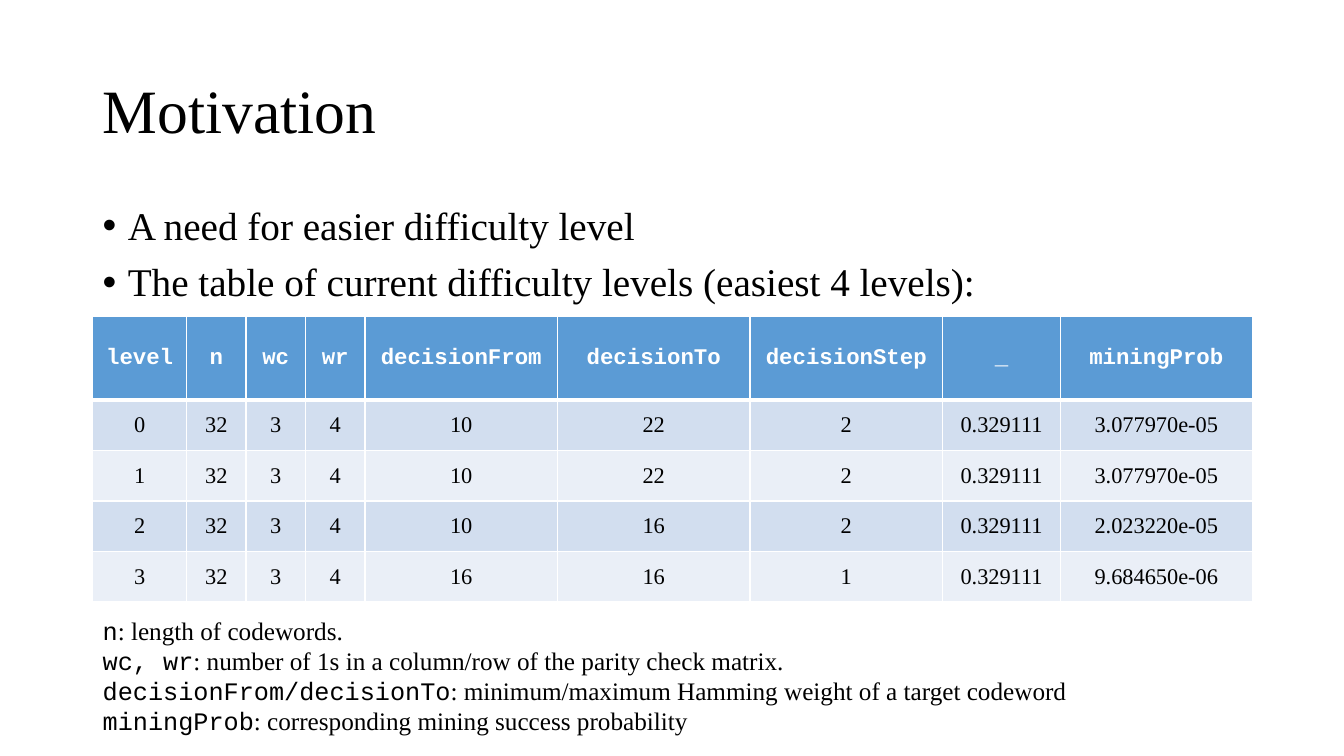
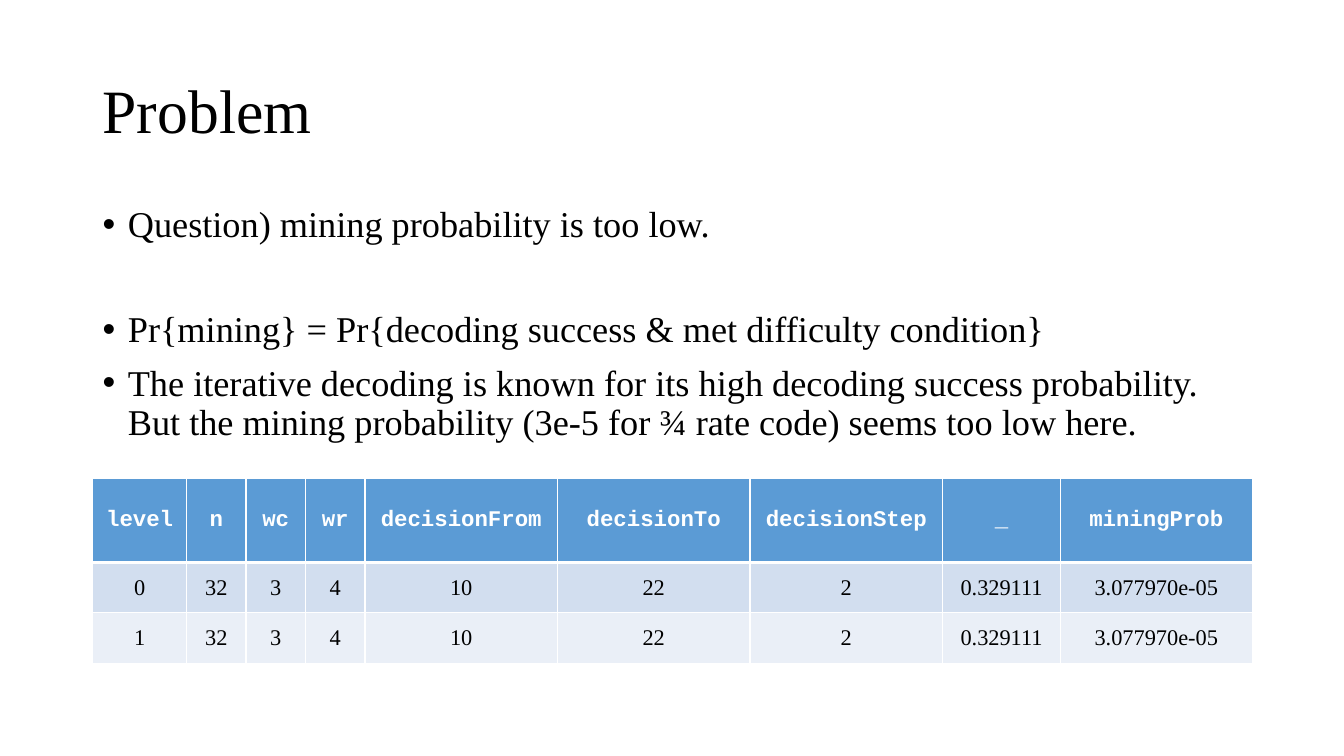
"""Build two slides about mining difficulty levels."""
from dataclasses import dataclass

from lxml import etree
from pptx import Presentation
from pptx.dml.color import RGBColor
from pptx.enum.text import MSO_ANCHOR, PP_ALIGN
from pptx.oxml.ns import qn
from pptx.util import Pt

MIDDLE, TOP = MSO_ANCHOR.MIDDLE, MSO_ANCHOR.TOP
CENTER = PP_ALIGN.CENTER
EMU_PER_PX = 9144


@dataclass(frozen=True)
class Theme:
    serif: str = "Times New Roman"
    mono: str = "Courier New"
    bullet_font: str = "Arial"
    ink: str = "000000"
    white: str = "FFFFFF"
    header: str = "5B9BD5"
    bands: tuple = ("D2DEEF", "EAEFF7")
    title_size: float = 44
    note_size: float = 18
    cell_size: float = 16
    thin: float = 1
    thick: float = 3
    line_spacing: float = 0.9
    space_before: float = 10


THEME = Theme()

SLIDE_SIZE = (1333, 750)
LEFT, WIDTH = 92, 1150
TITLE_TOP, TITLE_HEIGHT = 40, 145
BODY_TOP = 200
NOTES_TOP, NOTES_HEIGHT = 605, 131
BULLET_INDENT = 25
COLUMN_WIDTHS = (93, 59, 59, 59, 191, 191, 191, 117, 190)
HEADER_HEIGHT, ROW_HEIGHT = 83, 50

HEADERS = ("level", "n", "wc", "wr", "decisionFrom", "decisionTo",
           "decisionStep", "_", "miningProb")
LEVELS = [
    ("0", "32", "3", "4", "10", "22", "2", "0.329111", "3.077970e-05"),
    ("1", "32", "3", "4", "10", "22", "2", "0.329111", "3.077970e-05"),
    ("2", "32", "3", "4", "10", "16", "2", "0.329111", "2.023220e-05"),
    ("3", "32", "3", "4", "16", "16", "1", "0.329111", "9.684650e-06"),
]
NOTES = [
    ("n", ": length of codewords."),
    ("wc, wr", ": number of 1s in a column/row of the parity check matrix."),
    ("decisionFrom/decisionTo",
     ": minimum/maximum Hamming weight of a target codeword"),
    ("miningProb", ": corresponding mining success probability"),
]
SLIDES = [
    {
        "title": "Motivation",
        "bullets": [
            ("A need for easier difficulty level", 0),
            ("The table of current difficulty levels (easiest 4 levels):", 0),
        ],
        "bullet_size": 28,
        "body_height": 115,
        "table_top": 314,
        "levels": LEVELS,
        "notes": NOTES,
    },
    {
        "title": "Problem",
        "bullets": [
            ("Question) mining probability is too low.", 0),
            ("Pr{mining} = Pr{decoding success & met difficulty condition}", 37),
            ("The iterative decoding is known for its high decoding success "
             "probability. But the mining probability (3e-5 for ¾ rate code) "
             "seems too low here.", 0),
        ],
        "bullet_size": 25.9,
        "body_height": 253,
        "table_top": 475,
        "levels": LEVELS[:2],
        "notes": [],
    },
]


def px(length):
    return length * EMU_PER_PX


def set_font(font, size, name=None, color=THEME.ink, bold=False):
    font.size = Pt(size)
    font.bold = bold
    font.color.rgb = RGBColor.from_string(color)
    if name:
        font.name = name


def add_text_frame(slide, top, height, anchor=TOP):
    box = slide.shapes.add_textbox(px(LEFT), px(top), px(WIDTH), px(height))
    frame = box.text_frame
    frame.word_wrap = True
    frame.vertical_anchor = anchor
    return frame


def add_paragraphs(frame, count):
    for _ in range(count - 1):
        frame.add_paragraph()
    return frame.paragraphs


def add_title(slide, text):
    frame = add_text_frame(slide, TITLE_TOP, TITLE_HEIGHT, MIDDLE)
    paragraph = frame.paragraphs[0]
    paragraph.text = text
    paragraph.line_spacing = THEME.line_spacing
    set_font(paragraph.font, THEME.title_size, THEME.serif)


def set_bullet(paragraph):
    properties = paragraph._p.get_or_add_pPr()
    properties.set("marL", str(px(BULLET_INDENT)))
    properties.set("indent", str(-px(BULLET_INDENT)))
    etree.SubElement(properties, qn("a:buFont"), typeface=THEME.bullet_font)
    etree.SubElement(properties, qn("a:buChar"), char="•")


def add_bullets(slide, bullets, size, height):
    frame = add_text_frame(slide, BODY_TOP, height)
    paragraphs = add_paragraphs(frame, len(bullets))
    for paragraph, (text, extra_space) in zip(paragraphs, bullets):
        paragraph.text = text
        set_bullet(paragraph)
        paragraph.line_spacing = THEME.line_spacing
        paragraph.space_before = Pt(THEME.space_before + extra_space)
        set_font(paragraph.font, size, THEME.serif)


def set_borders(cell, top, bottom):
    properties = cell._tc.get_or_add_tcPr()
    widths = {"L": THEME.thin, "R": THEME.thin, "T": top, "B": bottom}
    for side, width in widths.items():
        line = etree.SubElement(properties, qn(f"a:ln{side}"), w=str(Pt(width)))
        fill = etree.SubElement(line, qn("a:solidFill"))
        etree.SubElement(fill, qn("a:srgbClr"), val=THEME.white)


def fill_cell(cell, text, row_index):
    is_header = row_index == 0
    set_borders(cell,
                top=THEME.thick if row_index == 1 else THEME.thin,
                bottom=THEME.thick if is_header else THEME.thin)
    band = THEME.bands[(row_index - 1) % len(THEME.bands)]
    cell.fill.solid()
    cell.fill.fore_color.rgb = RGBColor.from_string(
        THEME.header if is_header else band)
    cell.vertical_anchor = MIDDLE
    paragraph = cell.text_frame.paragraphs[0]
    paragraph.text = text
    paragraph.alignment = CENTER
    set_font(paragraph.font, THEME.cell_size,
             THEME.mono if is_header else THEME.serif,
             THEME.white if is_header else THEME.ink, is_header)


def add_level_table(slide, top, levels):
    rows = [HEADERS, *levels]
    height = HEADER_HEIGHT + ROW_HEIGHT * len(levels)
    table = slide.shapes.add_table(len(rows), len(HEADERS), px(LEFT), px(top),
                                   px(WIDTH), px(height)).table
    for column, width in zip(table.columns, COLUMN_WIDTHS):
        column.width = px(width)
    for row_index, values in enumerate(rows):
        row = table.rows[row_index]
        row.height = px(ROW_HEIGHT if row_index else HEADER_HEIGHT)
        for cell, text in zip(row.cells, values):
            fill_cell(cell, text, row_index)


def add_notes(slide, notes):
    frame = add_text_frame(slide, NOTES_TOP, NOTES_HEIGHT)
    for paragraph, parts in zip(add_paragraphs(frame, len(notes)), notes):
        set_font(paragraph.font, THEME.note_size)
        for text, name in zip(parts, (THEME.mono, THEME.serif)):
            run = paragraph.add_run()
            run.text = text
            run.font.name = name


def main():
    presentation = Presentation()
    presentation.slide_width, presentation.slide_height = map(px, SLIDE_SIZE)
    blank_layout = presentation.slide_layouts[6]
    for content in SLIDES:
        slide = presentation.slides.add_slide(blank_layout)
        add_title(slide, content["title"])
        add_bullets(slide, content["bullets"], content["bullet_size"],
                    content["body_height"])
        add_level_table(slide, content["table_top"], content["levels"])
        if content["notes"]:
            add_notes(slide, content["notes"])
    presentation.save("out.pptx")


if __name__ == "__main__":
    main()
